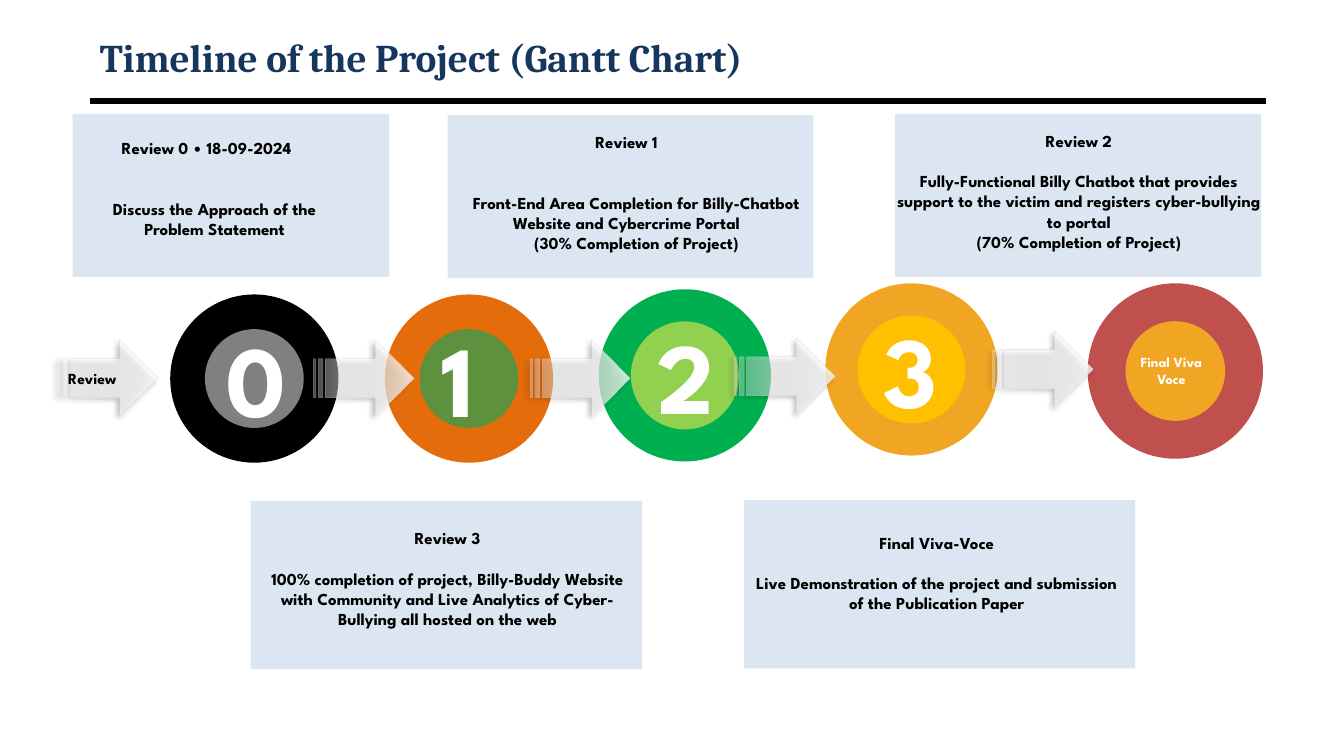
from pptx import Presentation
from pptx.dml.color import RGBColor
from pptx.enum.shapes import MSO_CONNECTOR, MSO_SHAPE
from pptx.enum.text import MSO_ANCHOR, MSO_AUTO_SIZE, PP_ALIGN
from pptx.oxml import parse_xml
from pptx.oxml.ns import nsdecls, qn
from pptx.util import Cm, Pt

LEFT, CENTER = PP_ALIGN.LEFT, PP_ALIGN.CENTER
MIDDLE, NO_FIT = MSO_ANCHOR.MIDDLE, MSO_AUTO_SIZE.NONE
OVAL, CARD = MSO_SHAPE.OVAL, MSO_SHAPE.ROUNDED_RECTANGLE
ARROW, STRAIGHT = MSO_SHAPE.STRIPED_RIGHT_ARROW, MSO_CONNECTOR.STRAIGHT

BLACK = RGBColor(0x00, 0x00, 0x00)
WHITE = RGBColor(0xFF, 0xFF, 0xFF)
NAVY = RGBColor(0x17, 0x36, 0x5D)
PALE = RGBColor(0xDC, 0xE6, 0xF2)
SILVER = RGBColor(0xBF, 0xBF, 0xBF)
GREY = RGBColor(0x80, 0x80, 0x80)
ORANGE = RGBColor(0xE4, 0x6C, 0x0A)
MOSS = RGBColor(0x5E, 0x91, 0x3E)
GREEN = RGBColor(0x00, 0xB0, 0x50)
LIME = RGBColor(0x92, 0xD0, 0x50)
AMBER = RGBColor(0xF0, 0xA6, 0x22)
GOLD = RGBColor(0xFF, 0xC0, 0x00)
RED = RGBColor(0xC0, 0x50, 0x4D)

HEAD_FONT, BODY_FONT = "Cambria", "League Spartan"
LINE = 14.4

# Each ring: centre x, centre y, outer and inner diameter, colours, label.
RINGS = [
    (6.41, 9.54, 4.24, 2.49, BLACK, GREY, "0"),
    (11.82, 9.54, 4.24, 2.49, ORANGE, MOSS, "1"),
    (17.26, 9.46, 4.34, 2.72, GREEN, LIME, "2"),
    (22.97, 9.31, 4.34, 2.72, AMBER, GOLD, "3"),
    (29.62, 9.35, 4.42, 2.51, RED, AMBER, "Final Viva\nVoce"),
]
ARROWS = [(1.47, 8.56), (7.9, 8.56), (13.36, 8.56), (18.52, 8.51), (25.02, 8.33)]

# Each card: box, text offset and width, blank lines, body indent, heading, body.
CARDS = [
    ((1.83, 2.87, 7.98, 4.11), (0, 0.48, 6.76), 2, 0.4, "Review 0 • 18-09-2024",
     "Discuss the Approach of the\nProblem Statement"),
    ((11.28, 2.9, 9.22, 4.11), (-0.48, 0.3, 9.98), 2, 0.5, "Review 1",
     "Front-End Area Completion for Billy-Chatbot Website and Cybercrime Portal\n"
     "(30% Completion of Project)"),
    ((22.56, 2.87, 9.22, 4.11), (-0.36, 0.3, 9.98), 1, 0, "Review 2",
     "Fully-Functional Billy Chatbot that provides support to the victim and "
     "registers cyber-bullying to portal\n(70% Completion of Project)"),
    ((6.32, 12.62, 9.86, 4.24), (-0.03, 0.56, 9.98), 1, 0, "Review 3",
     "100% completion of project, Billy-Buddy Website with Community and Live "
     "Analytics of Cyber-Bullying all hosted on the web"),
    ((18.75, 12.6, 9.86, 4.24), (-0.13, 0.69, 9.98), 1, 0, "Final Viva-Voce",
     "Live Demonstration of the project and submission of the Publication Paper"),
]


def shade(blur, dist, angle, alpha):
    """Return an outer shadow element in black."""
    return parse_xml(
        f'<a:outerShdw {nsdecls("a")} blurRad="{Pt(blur)}" dist="{Pt(dist)}" '
        f'dir="{angle * 60000}" algn="tl" rotWithShape="0"><a:srgbClr val="000000">'
        f'<a:alpha val="{alpha * 1000}"/></a:srgbClr></a:outerShdw>')


def write(frame, text, size=12, color=BLACK, font=BODY_FONT, align=CENTER,
          gap=0, indent=0, glow=False, more=False):
    """Write the lines of text as paragraphs, after those present if more is set."""
    frame.word_wrap = True
    for i, line in enumerate(text.split("\n")):
        para = frame.add_paragraph() if more or i else frame.paragraphs[0]
        para.alignment = align
        para.space_before = Pt(0 if i else gap)
        if indent:
            para._p.get_or_add_pPr().set("indent", str(Cm(indent)))
        run = para.add_run()
        run.text = line
        run.font.size, run.font.bold = Pt(size), True
        run.font.color.rgb = color
        if glow:
            effects = parse_xml(f'<a:effectLst {nsdecls("a")}/>')
            effects.append(shade(3, 3, 45, 40))
            run._r.get_or_add_rPr().append(effects)
        run.font.name = font


def label(slide, left, top, width, height, text, **look):
    """Add a text box and return its frame."""
    frame = slide.shapes.add_textbox(Cm(left), Cm(top), Cm(width), Cm(height)).text_frame
    write(frame, text, **look)
    return frame


def block(slide, kind, left, top, width, height, fill):
    """Add a plain filled shape without line or shadow."""
    shape = slide.shapes.add_shape(kind, Cm(left), Cm(top), Cm(width), Cm(height))
    shape.shadow.inherit = False
    shape.fill.solid()
    shape.fill.fore_color.rgb = fill
    shape.line.fill.background()
    return shape


def header(slide, left, top, width, height):
    """Place the title and the rule below it."""
    title = slide.shapes.title
    title.left, title.top, title.width, title.height = map(Cm, (left, top, width, height))
    frame = title.text_frame
    frame.auto_size, frame.vertical_anchor = NO_FIT, MIDDLE
    write(frame, "Timeline of the Project (Gantt Chart)", size=28, color=NAVY,
          font=HEAD_FONT, align=LEFT)
    base = Cm(top + height + 0.43)
    rule = slide.shapes.add_connector(STRAIGHT, Cm(left), base, Cm(left + width), base)
    rule.line.color.rgb, rule.line.width = BLACK, Pt(4.5)
    rule._element.spPr.append(parse_xml(f'<a:effectLst {nsdecls("a")}/>'))


def ring(slide, mid_x, mid_y, outer, inner, rim, core, text):
    """Draw two discs around one centre, with a number or a name."""
    for size, fill in ((outer, rim), (inner, core)):
        block(slide, OVAL, mid_x - size / 2, mid_y - size / 2, size, size, fill)
    if text.isdigit():
        label(slide, mid_x - 0.95, mid_y - 1.69, 2.34, 3.33, text,
              size=72, color=WHITE, align=LEFT)
    else:
        label(slide, mid_x - 1.27, mid_y - 0.56, 2.34, 1.12, text, size=10, color=WHITE)


def arrow(slide, left, top):
    """Draw a translucent striped arrow with a soft shadow."""
    shape = block(slide, ARROW, left, top, 2.51, 1.93, WHITE)
    shape.fill.gradient()
    shape.fill.gradient_angle = 0
    for stop, place in zip(shape.fill.gradient_stops, (0, 1)):
        stop.color.rgb, stop.position = WHITE, place
    shape.line.color.rgb, shape.line.width = SILVER, Pt(0.25)
    props = shape._element.spPr
    for color, alpha in zip(props.iter(qn("a:srgbClr")), (30, 80, 50)):
        color.append(parse_xml(f'<a:alpha {nsdecls("a")} val="{alpha * 1000}"/>'))
    props.find(qn("a:effectLst")).append(shade(4, 3, 135, 40))


def card(slide, box, offset, blanks, indent, head, body):
    """Draw a panel with a heading and a body below it."""
    left, top, width, height = box
    shift, drop, span = offset
    block(slide, CARD, left, top, width, height, PALE).adjustments[0] = 0
    frame = label(slide, left + shift, top + drop, span, height - drop, head, glow=True)
    write(frame, body, gap=blanks * LINE, indent=indent, glow=True, more=True)


def main():
    """Build the timeline slide and save it."""
    deck = Presentation()
    deck.slide_width, deck.slide_height = Cm(33.87), Cm(19.05)
    slide = deck.slides.add_slide(deck.slide_layouts[5])
    header(slide, 2.26, 0.76, 29.64, 1.35)
    for item in RINGS:
        ring(slide, *item)
    for left, top in ARROWS:
        arrow(slide, left, top)
    left, top = ARROWS[0]
    label(slide, left, top + 0.61, 2.01, 0.74, "Review", size=11, align=LEFT, glow=True)
    for item in CARDS:
        card(slide, *item)
    deck.save("out.pptx")


if __name__ == "__main__":
    main()
